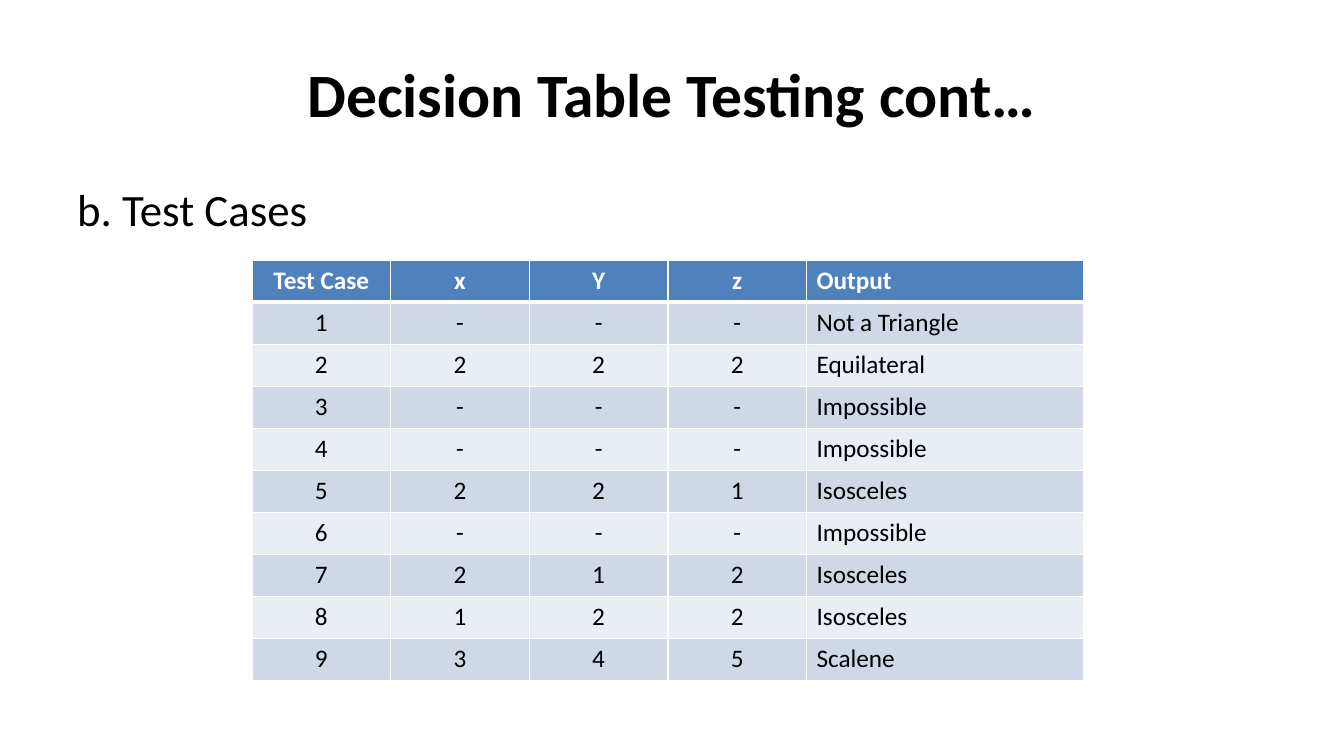
import lxml.etree
import pptx
import pptx.dml.color
import pptx.enum.text
import pptx.oxml.ns
import pptx.util

TITLE = "Decision Table Testing cont…"
LEAD = "b. Test Cases"
HEAD = ("Test Case", "x", "Y", "z", "Output")
CASES = [
    ("-", "-", "-", "Not a Triangle"),
    ("2", "2", "2", "Equilateral"),
    ("-", "-", "-", "Impossible"),
    ("-", "-", "-", "Impossible"),
    ("2", "2", "1", "Isosceles"),
    ("-", "-", "-", "Impossible"),
    ("2", "1", "2", "Isosceles"),
    ("1", "2", "2", "Isosceles"),
    ("3", "4", "5", "Scalene"),
]
ROWS = [HEAD] + [(str(n), *case) for n, case in enumerate(CASES, 1)]
SHARES = (1, 1, 1, 1, 2)  # column widths, in sixths of the table

BLACK = pptx.dml.color.RGBColor(0x00, 0x00, 0x00)
WHITE = pptx.dml.color.RGBColor(0xFF, 0xFF, 0xFF)
BLUE = pptx.dml.color.RGBColor(0x4F, 0x81, 0xBD)
DARK = pptx.dml.color.RGBColor(0xD0, 0xD8, 0xE8)
LIGHT = pptx.dml.color.RGBColor(0xE9, 0xED, 0xF4)

FONT = "Calibri"
LEFT = pptx.enum.text.PP_ALIGN.LEFT
MID = pptx.enum.text.PP_ALIGN.CENTER
INCH = pptx.util.Inches
WIDE, HIGH = INCH(13.33), INCH(7.5)
EDGE = int(WIDE * 0.05)


def write(frame, text, size=18, color=BLACK, bold=False, align=LEFT):
    para = frame.paragraphs[0]
    para.alignment = align
    run = para.add_run()
    run.text = text
    font = run.font
    font.name, font.size, font.bold = FONT, pptx.util.Pt(size), bold
    font.color.rgb = color


def add_box(slide, top, high, text, anchor, **form):
    box = slide.shapes.add_textbox(EDGE, INCH(top), WIDE - 2 * EDGE, INCH(high))
    frame = box.text_frame
    frame.word_wrap = True
    frame.vertical_anchor = anchor
    write(frame, text, **form)


def rule(cell, **widths):
    """Draw white cell borders; widths in points, keyed L, R, T, B in that order."""
    props = cell._tc.get_or_add_tcPr()
    name = pptx.oxml.ns.qn
    for side, width in widths.items():
        line = lxml.etree.SubElement(props, name("a:ln" + side), w=str(pptx.util.Pt(width)))
        fill = lxml.etree.SubElement(line, name("a:solidFill"))
        lxml.etree.SubElement(fill, name("a:srgbClr"), val=str(WHITE))


def add_cases(slide, left, top, wide, high):
    table = slide.shapes.add_table(
        len(ROWS), len(HEAD), INCH(left), INCH(top), INCH(wide), INCH(high)
    ).table
    for col, share in zip(table.columns, SHARES):
        col.width = INCH(wide * share / sum(SHARES))
    for r, row in enumerate(ROWS):
        table.rows[r].height = INCH(high / len(ROWS))
        first = r == 0
        back = BLUE if first else (LIGHT, DARK)[r % 2]
        for c, text in enumerate(row):
            cell = table.cell(r, c)
            rule(cell, L=1, R=1, T=3 if r == 1 else 1, B=3 if first else 1)
            cell.fill.solid()
            cell.fill.fore_color.rgb = back
            write(cell.text_frame, text, color=WHITE if first else BLACK, bold=first,
                  align=LEFT if c == len(HEAD) - 1 else MID)


def main():
    deck = pptx.Presentation()
    deck.slide_width, deck.slide_height = WIDE, HIGH
    slide = deck.slides.add_slide(deck.slide_layouts[6])
    anchor = pptx.enum.text.MSO_ANCHOR
    add_box(slide, 0.3, 1.25, TITLE, anchor.MIDDLE, size=44, bold=True, align=MID)
    add_box(slide, 1.75, 4.95, LEAD, anchor.TOP, size=32)
    add_cases(slide, 2.5, 2.58, 8.25, 4.17)
    deck.save("out.pptx")


if __name__ == "__main__":
    main()
